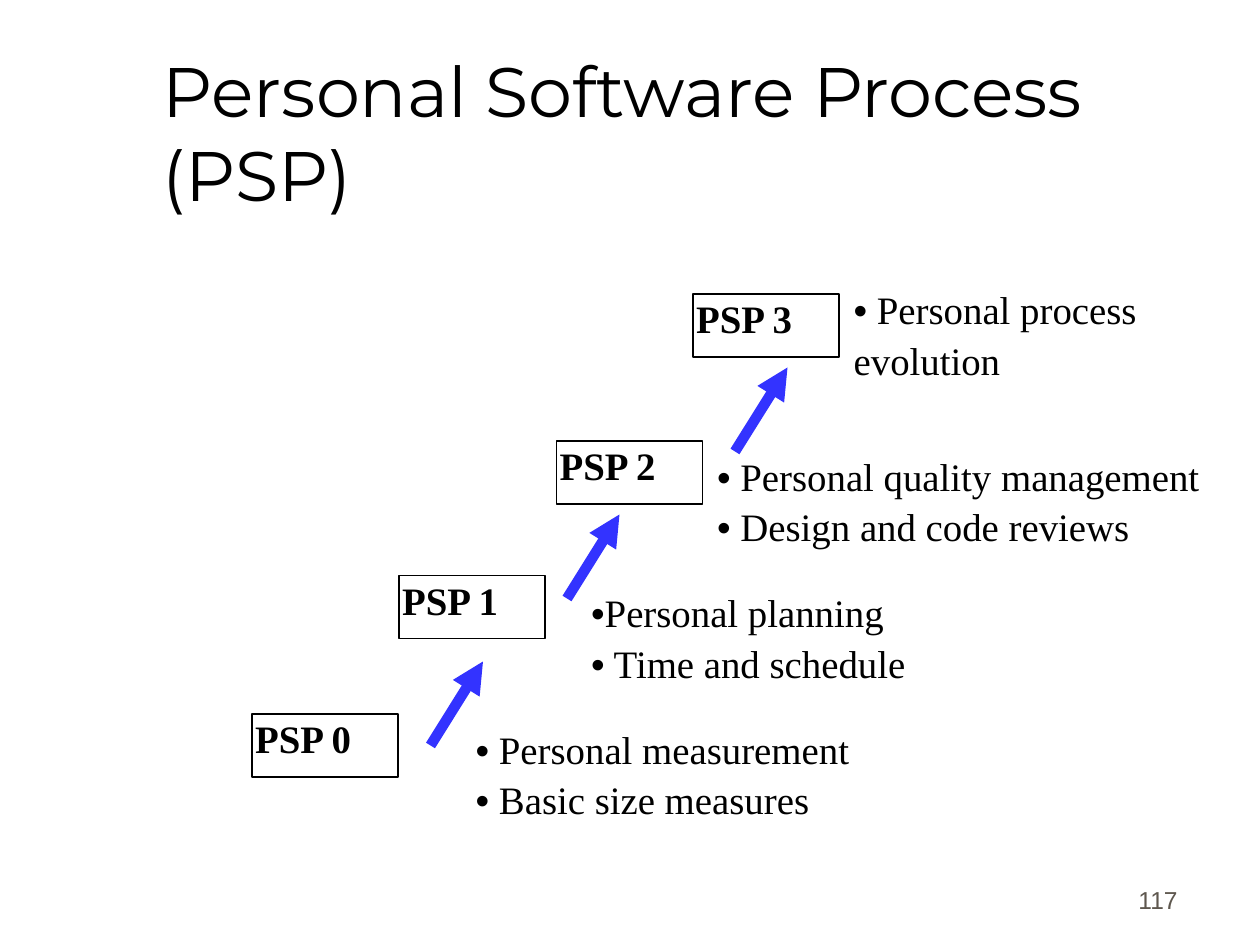
from dataclasses import dataclass
from lxml.etree import SubElement
from pptx import Presentation
from pptx.dml.color import RGBColor as Rgb
from pptx.enum.shapes import MSO_CONNECTOR as Conn, MSO_SHAPE as Kind
from pptx.enum.text import MSO_ANCHOR as Anchor, PP_ALIGN as Align
from pptx.oxml.ns import qn
from pptx.util import Pt

HUE = {"ink": "000000", "arrow": "3333FF", "page": "5E574E"}
SERIF, SANS, HEAD = "Times New Roman", "Arial", "Montserrat"
BODY = 22.2  # text size of steps and notes
BOX = (83.5, 36)  # step width and height
RISE = (30, -48)  # run and rise of each arrow


@dataclass
class Run:
    text: str
    font: str = SERIF
    size: float = BODY
    hue: str = "ink"
    bold: bool = False


@dataclass
class Step:
    name: str
    left: float
    top: float


@dataclass
class Note:
    left: float
    top: float
    width: float
    lines: list[list[Run]]


def item(text: str) -> list[Run]:
    return [Run("•", SANS), Run(text)]


STEPS = [
    Step("PSP 0", 144, 408),
    Step("PSP 1", 228, 329),
    Step("PSP 2", 318, 252),
    Step("PSP 3", 396, 168),
]
ARROWS = [(246, 426), (324, 342), (420, 258)]
NOTES = [
    Note(270, 414, 257, [item(" Personal measurement"), item(" Basic size measures")]),
    Note(336, 336, 257, [item("Personal planning"), item(" Time and schedule")]),
    Note(408, 258, 324, [item(" Personal quality management"),
                         item(" Design and code reviews")]),
    Note(486, 163, 257, [item(" Personal process"), [Run("evolution")]]),
]


def write(shape, lines: list[list[Run]], inset: float = 1.8, space: float = 1.0,
          anchor=Anchor.TOP, align=Align.LEFT) -> None:
    frame = shape.text_frame
    frame.word_wrap = True
    frame.vertical_anchor = anchor
    frame.margin_left = frame.margin_right = Pt(inset)
    frame.margin_top = frame.margin_bottom = Pt(3.6)
    for i, line in enumerate(lines):
        para = frame.add_paragraph() if i else frame.paragraphs[0]
        para.alignment = align
        para.line_spacing = space
        if i:
            para.space_before = Pt(4.8)
        for part in line:
            run = para.add_run()
            run.text = part.text
            font = run.font
            font.name, font.size, font.bold = part.font, Pt(part.size), part.bold
            font.color.rgb = Rgb.from_string(HUE[part.hue])


def add_text(slide, left: float, top: float, width: float, height: float,
             lines: list[list[Run]], **style) -> None:
    box = slide.shapes.add_textbox(Pt(left), Pt(top), Pt(width), Pt(height))
    write(box, lines, **style)


def add_step(slide, step: Step) -> None:
    box = slide.shapes.add_shape(
        Kind.RECTANGLE, Pt(step.left), Pt(step.top), *map(Pt, BOX))
    box.shadow.inherit = False
    box.fill.background()
    box.line.color.rgb = Rgb.from_string(HUE["ink"])
    box.line.width = Pt(0.75)
    write(box, [[Run(step.name, bold=True)]], space=0.9)


def add_arrow(slide, x: float, y: float) -> None:
    line = slide.shapes.add_connector(
        Conn.STRAIGHT, Pt(x), Pt(y), Pt(x + RISE[0]), Pt(y + RISE[1]))
    line.line.color.rgb = Rgb.from_string(HUE["arrow"])
    line.line.width = Pt(6)
    props = line._element.spPr
    SubElement(props.find(qn("a:ln")), qn("a:tailEnd"), type="triangle")
    SubElement(props, qn("a:effectLst"))


def main() -> None:
    deck = Presentation()
    deck.slide_width, deck.slide_height = Pt(720), Pt(540)
    slide = deck.slides.add_slide(deck.slide_layouts[6])

    # Page number and title
    add_text(slide, 530, 490, 150, 36, [[Run("117", SANS, 14, "page")]],
             inset=7.2, anchor=Anchor.BOTTOM, align=Align.RIGHT)
    add_text(slide, 91, 20, 613, 110,
             [[Run("Personal Software Process (PSP)", HEAD, 40)]],
             anchor=Anchor.MIDDLE)

    # Staircase of steps, with arrows between them
    for step in STEPS:
        add_step(slide, step)
    for x, y in ARROWS:
        add_arrow(slide, x, y)

    # Notes beside the steps
    for note in NOTES:
        add_text(slide, note.left, note.top, note.width, 66, note.lines, space=0.9)

    deck.save("out.pptx")


if __name__ == "__main__":
    main()
